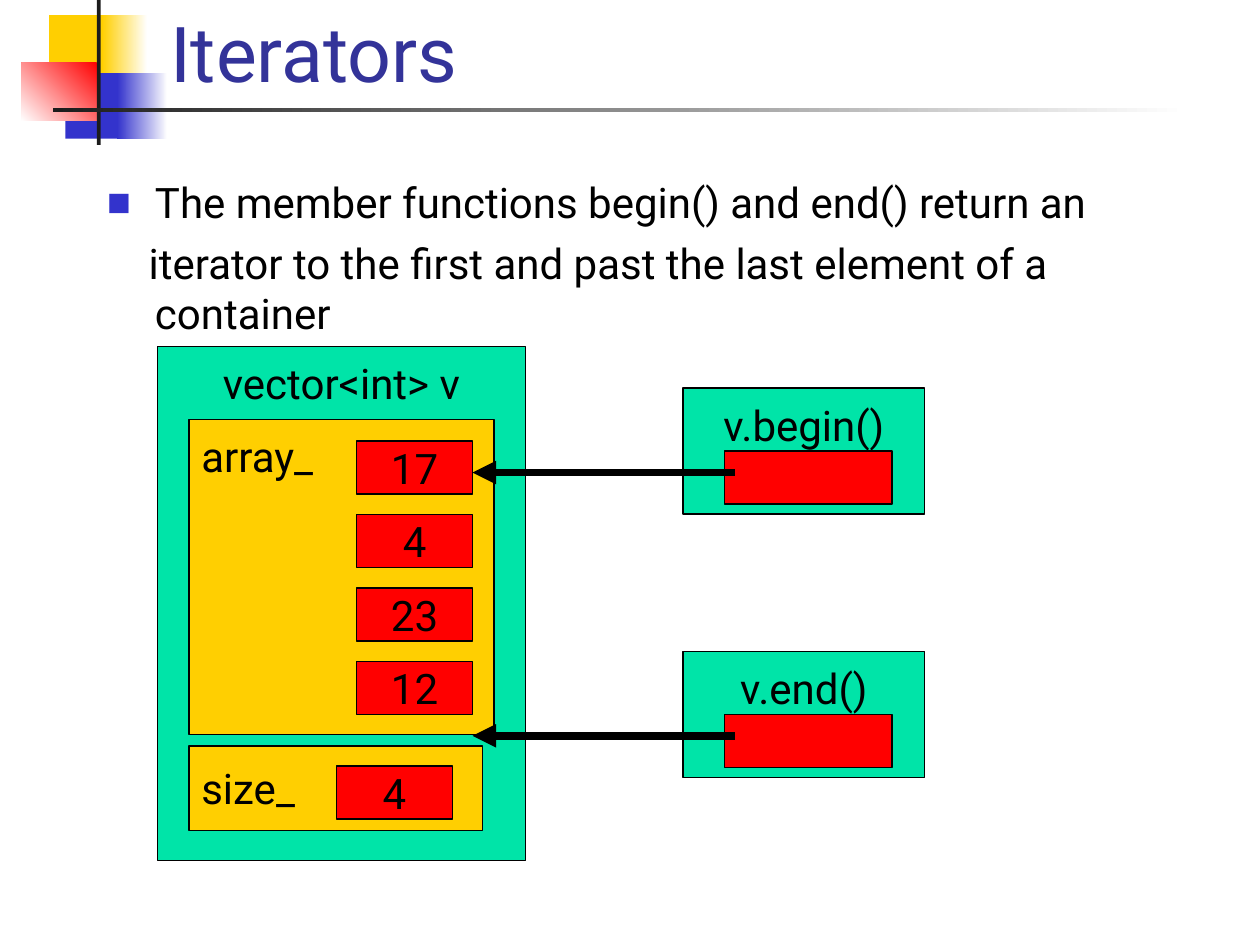
from lxml import etree
from pptx import Presentation
from pptx.dml.color import RGBColor
from pptx.enum import shapes, text
from pptx.oxml import ns
from pptx.util import Inches, Pt

FONT = "Roboto"
BLACK, DARK, GREEN, GOLD, RED, BLUE, WHITE = (
    "000000", "1C1C1C", "00E4A8", "FFCF01", "FF0000", "3333CC", "FFFFFF")
LEFT, CENTER = text.PP_ALIGN.LEFT, text.PP_ALIGN.CENTER
TOP, MIDDLE = text.MSO_ANCHOR.TOP, text.MSO_ANCHOR.MIDDLE
CELL_W, CELL_H = 0.92, 0.42


def color(item, code):
    item.rgb = RGBColor.from_string(code)


def style(para, size, code=BLACK, align=LEFT):
    para.alignment = align
    for run in para.runs:
        run.font.name, run.font.size = FONT, Pt(size)
        color(run.font.color, code)


def place(shape, x, y, w, h):
    shape.left, shape.top = Inches(x), Inches(y)
    shape.width, shape.height = Inches(w), Inches(h)


def add(parent, tag, **attrs):
    return etree.SubElement(parent, ns.qn(tag), attrs)


def rect(slide, x, y, w, h, fill):
    shape = slide.shapes.add_shape(
        shapes.MSO_SHAPE.RECTANGLE, Inches(x), Inches(y), Inches(w), Inches(h))
    shape.shadow.inherit = False
    shape.fill.solid()
    color(shape.fill.fore_color, fill)
    shape.line.fill.background()
    return shape


def fade(slide, x, y, w, h, start, end, angle=180):
    """Add a rectangle with a two-colour gradient."""
    fill = rect(slide, x, y, w, h, start).fill
    fill.gradient()
    fill.gradient_angle = angle
    for stop, code in zip(fill.gradient_stops, (start, end)):
        color(stop.color, code)


def box(slide, x, y, w, h, fill, label="", align=CENTER, anchor=MIDDLE):
    """Add an outlined rectangle with an optional label."""
    shape = rect(slide, x, y, w, h, fill)
    color(shape.line.color, BLACK)
    shape.line.width = Pt(0.75)
    if label:
        frame = shape.text_frame
        frame.word_wrap = False
        frame.vertical_anchor = anchor
        if anchor == TOP:
            frame.margin_top = Inches(0.09)
        frame.text = label
        style(frame.paragraphs[0], 24, align=align)


def arrow(slide, x, y, end):
    line = slide.shapes.add_connector(
        shapes.MSO_CONNECTOR.STRAIGHT, Inches(x), Inches(y), Inches(end), Inches(y))
    color(line.line.color, BLACK)
    line.line.width = Pt(4.5)
    add(line.line._get_or_add_ln(), "a:tailEnd", type="triangle")
    add(line._element.spPr, "a:effectLst")


def emblem(slide, x, y):
    """Draw the overlapping squares and the crossed rules."""
    rect(slide, x + 0.22, y + 0.12, 0.48, 0.52, GOLD)
    fade(slide, x + 0.64, y + 0.12, 0.36, 0.52, WHITE, GOLD)
    rect(slide, x + 0.35, y + 0.58, 0.46, 0.52, BLUE)
    fade(slide, x + 0.76, y + 0.58, 0.4, 0.52, WHITE, BLUE)
    fade(slide, x, y + 0.5, 0.61, 0.46, RED, WHITE, 225)
    rect(slide, x + 0.6, y, 0.03, 1.15, DARK)
    fade(slide, x + 0.25, y + 0.86, 9, 0.03, WHITE, DARK)


def title(slide, x, y, w, h):
    shape = slide.shapes.title
    place(shape, x, y, w, h)
    frame = shape.text_frame
    frame.auto_size = text.MSO_AUTO_SIZE.NONE
    frame.vertical_anchor = text.MSO_ANCHOR.BOTTOM
    frame.text = "Iterators"
    style(frame.paragraphs[0], 44, "333399")


def body(slide, x, y, w, h):
    shape = slide.placeholders[1]
    place(shape, x, y, w, h)
    frame = shape.text_frame
    frame.auto_size = text.MSO_AUTO_SIZE.NONE
    frame.text = ("The member functions begin() and end() return an\n"
                  "iterator to the first and past the last element of a container")
    first, second = frame.paragraphs
    for para, indent, space in ((first, -0.38, 0), (second, -0.05, 6)):
        props = para._p.get_or_add_pPr()
        props.set("marL", str(Inches(0.38)))
        props.set("indent", str(Inches(indent)))
        para.space_before = Pt(space)
        style(para, 24)
    props = first._p.pPr
    add(add(props, "a:buClr"), "a:srgbClr", val=BLUE)
    add(props, "a:buSzPct", val="60000")
    add(props, "a:buFont", typeface=FONT)
    add(props, "a:buChar", char="■")
    add(second._p.pPr, "a:buNone")


def vector(slide, x, y):
    """Draw the container with its array and size members."""
    box(slide, x, y, 2.92, 4.08, GREEN, "vector<int> v", anchor=TOP)
    box(slide, x + 0.25, y + 0.58, 2.42, 2.5, GOLD, "array_", LEFT, TOP)
    for row, value in enumerate(("17", "4", "23", "12")):
        box(slide, x + 1.58, y + 0.75 + row * 1.75 / 3, CELL_W, CELL_H, RED, value)
    box(slide, x + 0.25, y + 3.17, 2.33, 0.67, GOLD, "size_", LEFT)
    box(slide, x + 1.42, y + 3.33, CELL_W, CELL_H, RED, "4")


def pointer(slide, x, y, label, target):
    """Draw an iterator box whose arrow reaches the target x."""
    box(slide, x, y, 1.92, 1, GREEN, label, anchor=TOP)
    box(slide, x + 0.33, y + 0.5, 1.33, CELL_H, RED)
    arrow(slide, x + 0.41, y + 0.67, target)


def main():
    deck = Presentation()
    deck.slide_width, deck.slide_height = Inches(10), Inches(7.5)
    slide = deck.slides.add_slide(deck.slide_layouts[1])
    emblem(slide, 0.17, 0)
    title(slide, 1.25, -0.42, 8.52, 1.25)
    body(slide, 0.75, 1.35, 8.5, 4.5)
    vector(slide, 1.25, 2.75)
    for y, label in ((3.08, "v.begin()"), (5.17, "v.end()")):
        pointer(slide, 5.42, y, label, 3.75)
    deck.save("out.pptx")


if __name__ == "__main__":
    main()
